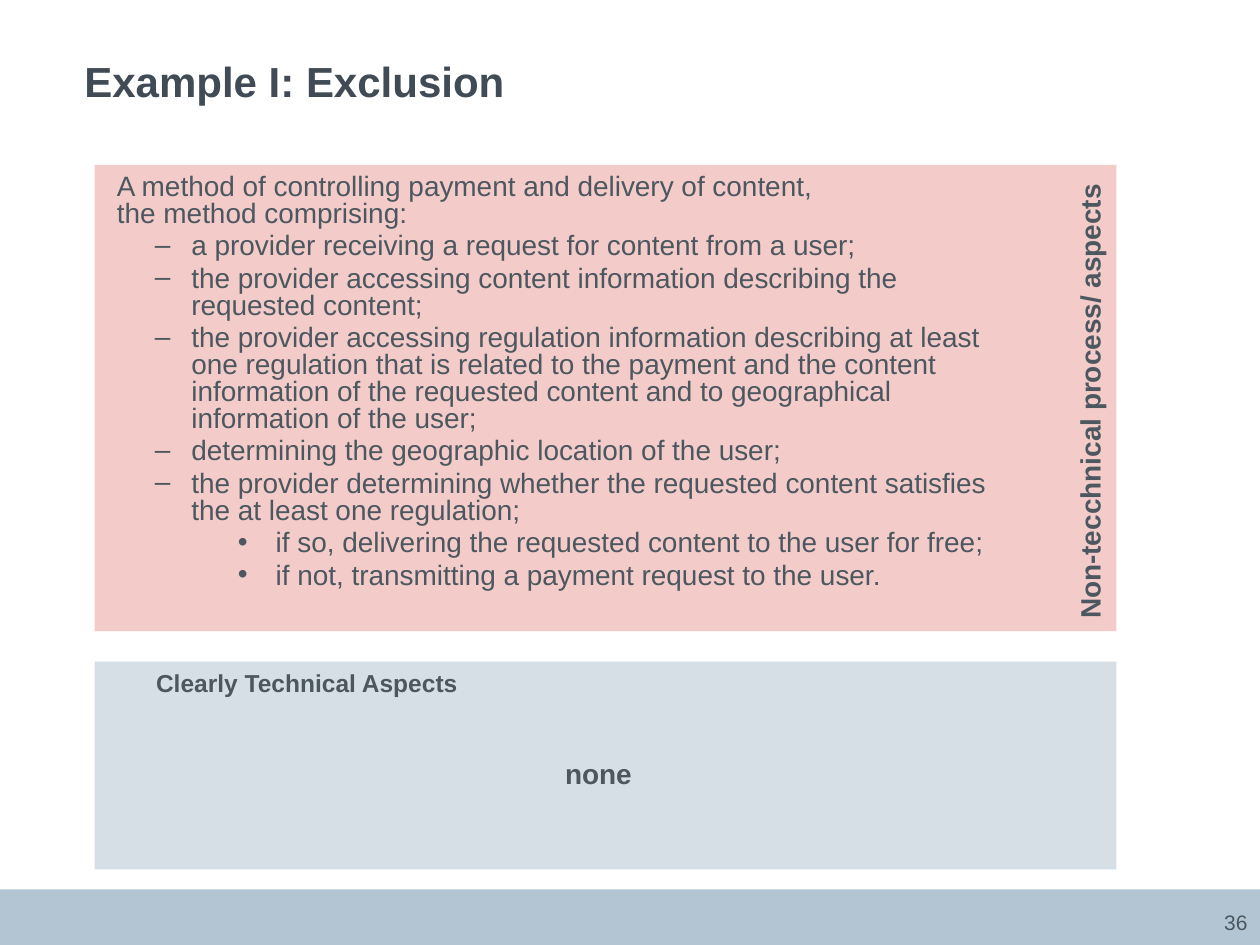
from lxml import etree
from pptx import Presentation
from pptx.dml.color import RGBColor
from pptx.enum import shapes, text
from pptx.oxml import ns
from pptx.util import Inches, Pt

COLORS = {
    "title": "404B56",
    "text": "4C575F",
    "footer": "B3C5D2",
    "technical": "D6DFE6",
    "nontechnical": "F3CCC9",
}
LEVELS = {
    0: (0, 0, None),
    1: (0.59, -0.29, "–"),
    2: (1.26, -0.3, "•"),
}
CLAIM = [
    (0, "A method of controlling payment and delivery of content,\nthe method comprising:"),
    (1, "a provider receiving a request for content from a user;"),
    (1, "the provider accessing content information describing the requested content;"),
    (1, "the provider accessing regulation information describing at least one regulation "
        "that is related to the payment and the content information of the requested "
        "content and to geographical information of the user;"),
    (1, "determining the geographic location of the user;"),
    (1, "the provider determining whether the requested content satisfies the at least "
        "one regulation;"),
    (2, "if so, delivering the requested content to the user for free;"),
    (2, "if not, transmitting a payment request to the user."),
]


def add_panel(s, x, y, w, h, color):
    sp = s.shapes.add_shape(shapes.MSO_SHAPE.RECTANGLE,
                            Inches(x), Inches(y), Inches(w), Inches(h))
    sp.shadow.inherit = False
    sp.fill.solid()
    sp.fill.fore_color.rgb = RGBColor.from_string(COLORS[color])
    sp.line.fill.background()


def format_paragraph(p, words, size=16, color="text", bold=False, align="LEFT"):
    p.text = words
    p.alignment = getattr(text.PP_ALIGN, align)
    for r in p.runs:
        r.font.name = "Arial"
        r.font.size = Pt(size)
        r.font.bold = bold
        r.font.color.rgb = RGBColor.from_string(COLORS[color])


def add_text(s, x, y, w, h, words="", insets=(0.1, 0.05), anchor="TOP", **fmt):
    sp = s.shapes.add_textbox(Inches(x), Inches(y), Inches(w), Inches(h))
    tf = sp.text_frame
    tf.word_wrap = True
    tf.vertical_anchor = getattr(text.MSO_ANCHOR, anchor)
    tf.margin_left = tf.margin_right = Inches(insets[0])
    tf.margin_top = tf.margin_bottom = Inches(insets[1])
    format_paragraph(tf.paragraphs[0], words, **fmt)
    return sp


def set_bullet(p, level):
    margin, indent, char = LEVELS[level]
    p.level = level
    pPr = p._p.get_or_add_pPr()
    pPr.set("marL", str(Inches(margin)))
    pPr.set("indent", str(Inches(indent)))
    if char:
        etree.SubElement(pPr, ns.qn("a:buFont")).set("typeface", "Arial")
        etree.SubElement(pPr, ns.qn("a:buChar")).set("char", char)


def add_claim(s, x, y, w, h):
    tf = add_text(s, x, y, w, h, insets=(0.1, 0)).text_frame
    for i, (level, words) in enumerate(CLAIM):
        p = tf.add_paragraph() if i else tf.paragraphs[0]
        format_paragraph(p, words)
        p.line_spacing = 0.8
        p.space_before = Pt(3.2)
        set_bullet(p, level)


def add_nontechnical(s, x, y, w, h):
    add_panel(s, x, y, w, h, "nontechnical")
    add_claim(s, x + 0.08, y + 0.08, 7.25, 3.47)
    label_h = 0.37
    center_x = x + w - 0.21
    label = add_text(s, center_x - h / 2, y + (h - label_h) / 2, h, label_h,
                     "Non-tecchnical process/ aspects", bold=True)
    label.rotation = 270


def add_technical(s, x, y, w, h):
    add_panel(s, x, y, w, h, "technical")
    add_text(s, x + 0.39, y, 5.36, 0.33, "Clearly Technical Aspects", size=14, bold=True)
    add_text(s, x + 3.38, y + 0.7, 1.24, 0.37, "none",
             bold=True, align="CENTER", anchor="MIDDLE")


def add_footer(s, x, y, w, h):
    add_panel(s, x, y, w, h, "footer")
    add_text(s, x + w - 0.83, y + 0.14, 0.83, 0.24, "36",
             size=12, align="RIGHT", anchor="MIDDLE")


def main():
    prs = Presentation()
    prs.slide_width, prs.slide_height = Inches(10), Inches(7.5)
    s = prs.slides.add_slide(prs.slide_layouts[6])
    add_footer(s, 0, 7.06, 10, 0.44)
    add_text(s, 0.67, 0.44, 8.66, 1.02, "Example I: Exclusion",
             insets=(0, 0), size=24, color="title", bold=True)
    add_nontechnical(s, 0.75, 1.31, 8.11, 3.7)
    add_technical(s, 0.75, 5.25, 8.11, 1.65)
    prs.save("out.pptx")


if __name__ == "__main__":
    main()
